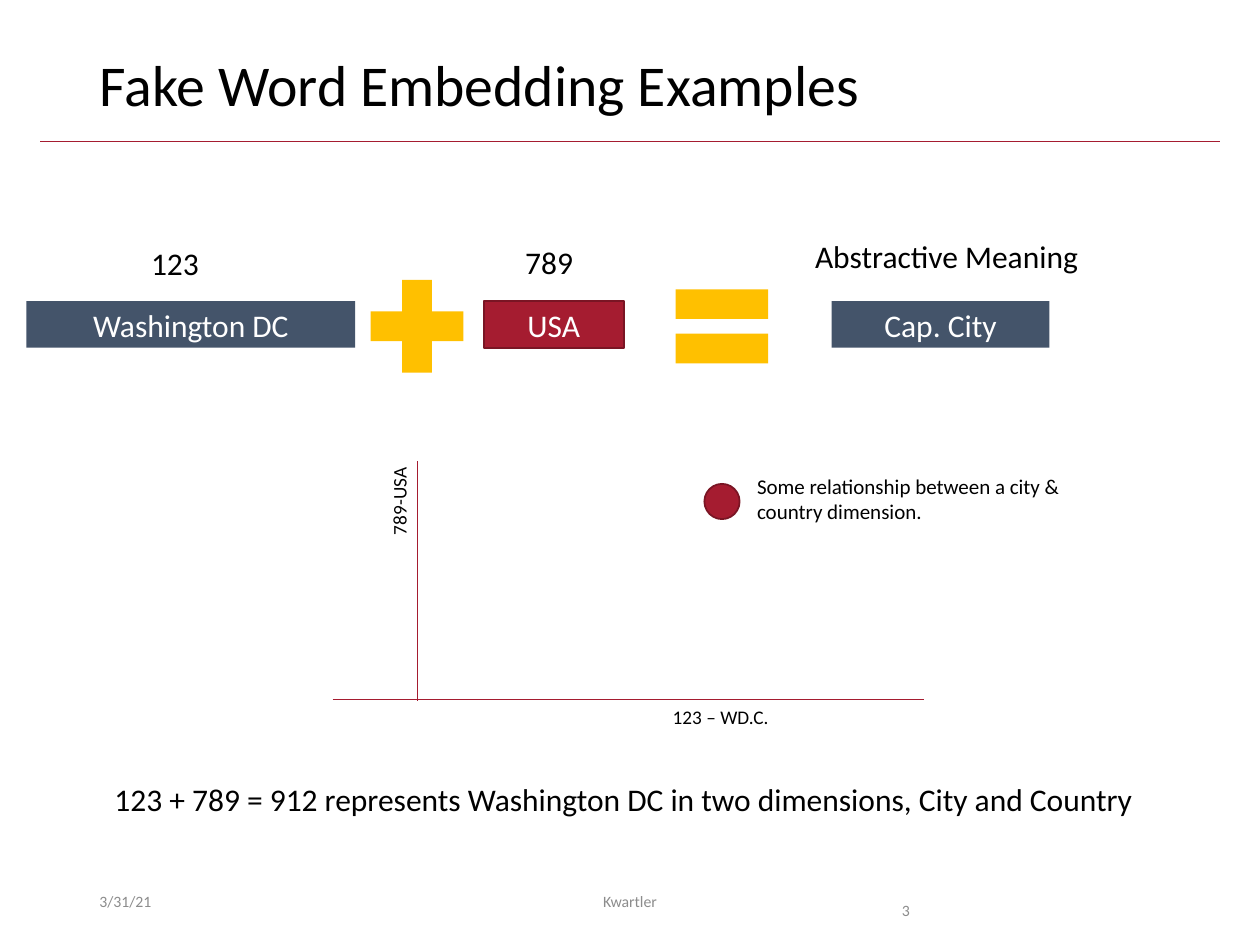
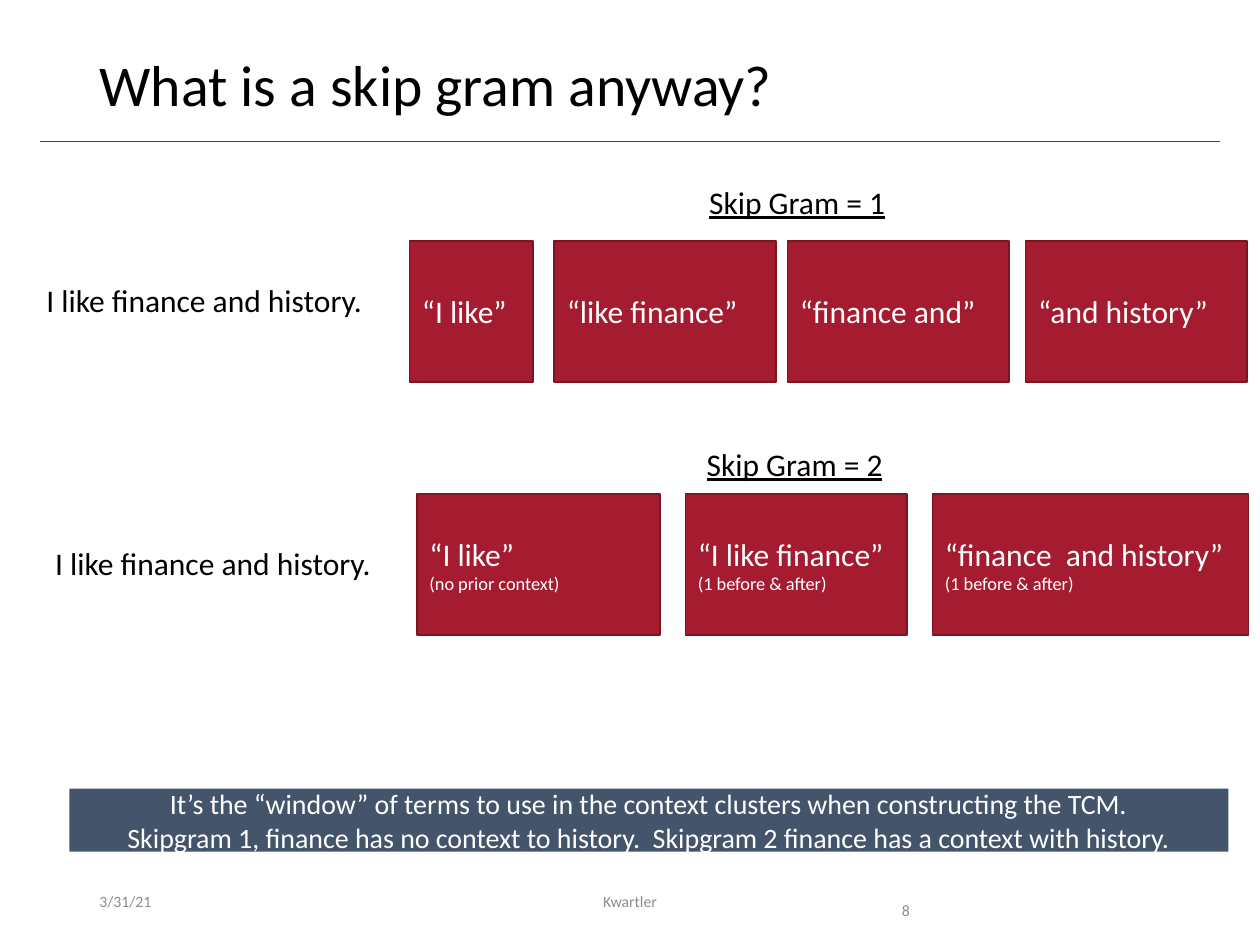
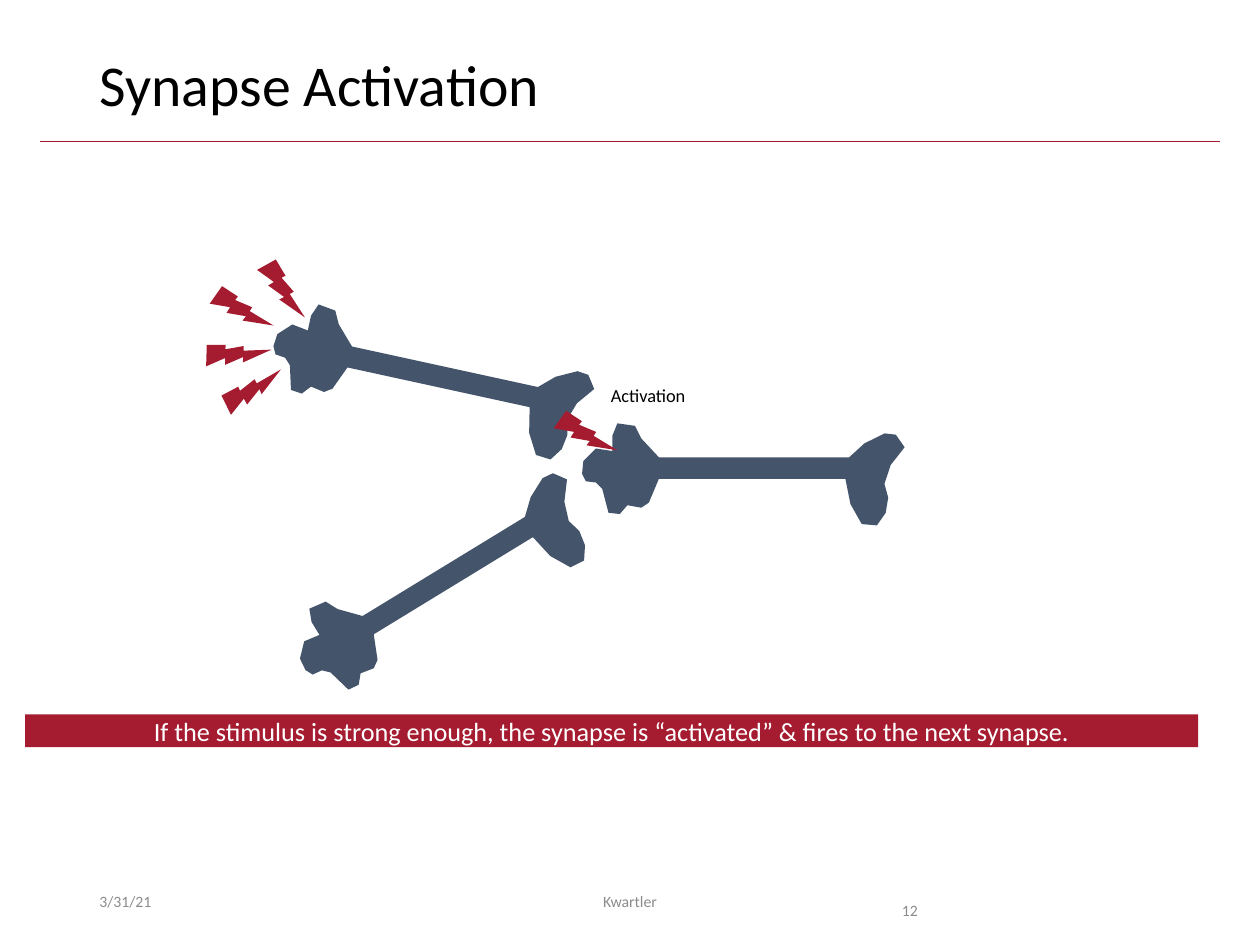
from pptx import Presentation
from pptx.dml.color import RGBColor
from pptx.enum.shapes import MSO_CONNECTOR, MSO_SHAPE
from pptx.enum.text import MSO_ANCHOR, MSO_AUTO_SIZE, PP_ALIGN
from pptx.oxml.ns import qn
from pptx.util import Inches, Pt
from lxml import etree

RECTANGLE, OVAL, BOLT = MSO_SHAPE.RECTANGLE, MSO_SHAPE.OVAL, MSO_SHAPE.LIGHTNING_BOLT
PLUS, EQUAL = MSO_SHAPE.MATH_PLUS, MSO_SHAPE.MATH_EQUAL
LEFT, CENTER = PP_ALIGN.LEFT, PP_ALIGN.CENTER
TOP, MIDDLE = MSO_ANCHOR.TOP, MSO_ANCHOR.MIDDLE

FONT = "Calibri"
RED, DARK_RED, SLATE, GOLD = "A51C30", "7A1524", "44546A", "FFC000"
BLACK, WHITE, GRAY = "000000", "FFFFFF", "8C8C8C"

# Shared content
TITLE_BOX = (0.69, 0.4, 8.62, 0.65)
FOOTER_TOP, FOOTER_HEIGHT = 6.95, 0.4
LABEL_HEIGHT = 0.4

# Word embedding content: text, left, width, fill, outline
EQUATION_TOP, EQUATION_HEIGHT = 2.39, 0.37
TERMS = [
    ("Washington DC", 0.21, 2.61, SLATE, None),
    ("USA", 3.84, 1.11, RED, DARK_RED),
    ("Cap. City", 6.6, 1.73, SLATE, None),
]
OPERATORS = [(PLUS, 2.81), (EQUAL, 5.23)]
EMBEDDING_LABELS = [
    ("123", 1.1, 1.89, 0.59),
    ("789", 4.07, 1.88, 0.59),
    ("Abstractive Meaning", 6.37, 1.83, 2.31),
    ("123 + 789 = 912 represents Washington DC in two dimensions, City and Country",
     0.81, 6.14, 8.38),
]
AXES = [(3.31, 3.66, 3.31, 5.56), (2.64, 5.55, 7.33, 5.55)]
AXIS_LABELS = [("123 – WD.C.", (5.24, 5.55, 0.98, 0.29), 0),
               ("789-USA", (2.8, 3.83, 0.74, 0.29), 270)]

# Skip gram content: heading and sentence places, then cards as text, left, width
SENTENCE = "I like finance and history."
CARD_HEIGHT = 1.12
SKIP_GRAMS = [
    {"heading": ("Skip Gram = 1", 5.53, 1.4), "sentence": (0.27, 2.18), "card_top": 1.91,
     "cards": [("“I like”", 3.25, 0.98),
               ("“like finance”", 4.4, 1.76),
               ("“finance and”", 6.25, 1.76),
               ("“and history”", 8.14, 1.76)]},
    {"heading": ("Skip Gram = 2", 5.51, 3.48), "sentence": (0.34, 4.27), "card_top": 3.92,
     "cards": [("“I like”\n(no prior context)", 3.31, 1.93),
               ("“I like finance”\n(1 before & after)", 5.44, 1.76),
               ("“finance  and history”\n(1 before & after)", 7.4, 2.51)]},
]
WINDOW_NOTE = (
    "It’s the “window” of terms to use in the context clusters when constructing the TCM.\n"
    "Skipgram 1, finance has no context to history.  "
    "Skipgram 2 finance has a context with history."
)

# Synapse content: left, top, rotation
NEURONS = [(2.14, 2.62, 12.3), (2.24, 4.25, 328.6), (4.62, 3.36, 0)]
BOLTS = [(1.71, 2.23, 334.1), (2.04, 2.06, 0), (1.67, 2.59, 300.9),
         (1.8, 2.88, 272.9), (4.44, 3.22, 334.2)]
STIMULUS_NOTE = ("If the stimulus is strong enough, the synapse is “activated” "
                 "& fires to the next synapse.")

# Neuron outline in hundredths of an inch, clockwise from the upper left branch
NEURON_OUTLINE = [
    (28, 0), (42, 2), (47, 12), (61, 27),
    (212, 27), (224, 16), (240, 8), (249, 9), (256, 19), (245, 33),
    (240, 48), (243, 59), (241, 71), (234, 81), (222, 80), (213, 64), (209, 44),
    (61, 44), (53, 63), (47, 67), (36, 65), (30, 72), (21, 71),
    (16, 52), (11, 47), (3, 46), (0, 40), (1, 30), (11, 20), (24, 22), (24, 10),
]


def color(hex_text):
    return RGBColor.from_string(hex_text)


def write(shape, text, sizes=(18,), font_color=BLACK, align=LEFT, anchor=TOP,
          wrap=True, grow=False, underline=None, line_spacing=None):
    """Fill a shape with text; the last size also serves any further lines."""
    frame = shape.text_frame
    frame.text = text
    frame.word_wrap = wrap
    frame.vertical_anchor = anchor
    frame.auto_size = MSO_AUTO_SIZE.SHAPE_TO_FIT_TEXT if grow else MSO_AUTO_SIZE.NONE
    for index, paragraph in enumerate(frame.paragraphs):
        paragraph.alignment = align
        paragraph.line_spacing = line_spacing
        font = paragraph.runs[0].font
        font.name = FONT
        font.size = Pt(sizes[min(index, len(sizes) - 1)])
        font.color.rgb = color(font_color)
        font.underline = underline


def add_text(slide, text, box, rotation=0, **text_format):
    shape = slide.shapes.add_textbox(*map(Inches, box))
    shape.rotation = rotation
    write(shape, text, **text_format)


def add_label(slide, text, left, top, width, **text_format):
    add_text(slide, text, (left, top, width, LABEL_HEIGHT),
             wrap=False, grow=True, **text_format)


def paint(shape, fill, outline=None):
    shape.shadow.inherit = False
    shape.fill.solid()
    shape.fill.fore_color.rgb = color(fill)
    if outline:
        shape.line.color.rgb = color(outline)
        shape.line.width = Pt(1)
    else:
        shape.line.fill.background()


def add_figure(slide, kind, box, fill, outline=None, rotation=0, text=None, **text_format):
    shape = slide.shapes.add_shape(kind, *map(Inches, box))
    shape.rotation = rotation
    paint(shape, fill, outline)
    if text:
        write(shape, text, font_color=WHITE, anchor=MIDDLE, **text_format)
    return shape


def add_line(slide, ends):
    line = slide.shapes.add_connector(MSO_CONNECTOR.STRAIGHT, *map(Inches, ends))
    line.line.color.rgb = color(RED)
    line.line.width = Pt(0.5)
    etree.SubElement(line.element.spPr, qn("a:effectLst"))
    return line


def add_neuron(slide, left, top, rotation):
    builder = slide.shapes.build_freeform(*NEURON_OUTLINE[0], scale=Inches(0.01))
    builder.add_line_segments(NEURON_OUTLINE[1:], close=True)
    neuron = builder.convert_to_shape(Inches(left), Inches(top))
    neuron.rotation = rotation
    paint(neuron, SLATE)


def add_slide(presentation, title, page_number):
    slide = presentation.slides.add_slide(presentation.slide_layouts[5])
    heading = slide.shapes.title
    heading.left, heading.top, heading.width, heading.height = map(Inches, TITLE_BOX)
    write(heading, title, sizes=(33,), line_spacing=0.9)
    footers = [
        ("3/31/21", 0.69, 2.25, {"anchor": MIDDLE}),
        (page_number, 7.06, 0.94, {"line_spacing": 2.0}),
        ("Kwartler", 3.31, 3.38, {"anchor": MIDDLE, "align": CENTER}),
    ]
    for text, left, width, text_format in footers:
        add_text(slide, text, (left, FOOTER_TOP, width, FOOTER_HEIGHT),
                 sizes=(9,), font_color=GRAY, **text_format)
    return slide


def build_embedding(slide):
    # Equation
    for text, left, width, fill, outline in TERMS:
        add_figure(slide, RECTANGLE, (left, EQUATION_TOP, width, EQUATION_HEIGHT),
                   fill, outline, text=text, align=CENTER)
    for kind, left in OPERATORS:
        add_figure(slide, kind, (left, 2.09, 1, 1), GOLD)
    for label in EMBEDDING_LABELS:
        add_label(slide, *label)
    # Two-dimensional plot
    for ends in AXES:
        add_line(slide, ends)
    add_figure(slide, OVAL, (5.59, 3.84, 0.28, 0.28), RED, DARK_RED)
    for text, box, rotation in AXIS_LABELS:
        add_text(slide, text, box, rotation, sizes=(11,), wrap=False, grow=True)
    add_text(slide, "Some relationship between a city & country dimension.",
             (5.91, 3.71, 2.85, 0.5), sizes=(12,), grow=True)


def build_skip_grams(slide):
    for group in SKIP_GRAMS:
        add_label(slide, *group["heading"], 1.61, underline=True)
        add_label(slide, SENTENCE, *group["sentence"], 2.74)
        for text, left, width in group["cards"]:
            add_figure(slide, RECTANGLE, (left, group["card_top"], width, CARD_HEIGHT),
                       RED, DARK_RED, text=text, sizes=(18, 10.5))
    add_figure(slide, RECTANGLE, (0.55, 6.26, 9.2, 0.5), SLATE,
               text=WINDOW_NOTE, sizes=(16,), align=CENTER)


def build_synapse(slide):
    add_text(slide, "Activation", (4.75, 3, 0.81, 0.28), sizes=(10.5,),
             wrap=False, grow=True)
    for neuron in NEURONS:
        add_neuron(slide, *neuron)
    for left, top, rotation in BOLTS:
        add_figure(slide, BOLT, (left, top, 0.38, 0.46), RED, rotation=rotation)
    band = add_figure(slide, RECTANGLE, (0.2, 5.67, 9.31, 0.26), RED,
                      text=STIMULUS_NOTE, sizes=(15,), align=CENTER)
    frame = band.text_frame
    frame.margin_left = frame.margin_right = Inches(0.07)
    frame.margin_top = frame.margin_bottom = Inches(0.04)


SLIDES = [
    ("Fake Word Embedding Examples", "3", build_embedding),
    ("What is a skip gram anyway?", "8", build_skip_grams),
    ("Synapse Activation", "12", build_synapse),
]


def main():
    presentation = Presentation()
    presentation.slide_width, presentation.slide_height = Inches(10), Inches(7.5)
    for title, page_number, build in SLIDES:
        build(add_slide(presentation, title, page_number))
    # The rule under the title belongs to the layout
    rule = add_line(presentation.slides[0], (0.32, 1.12, 9.68, 1.12))
    presentation.slide_layouts[5].shapes.element.append(rule.element)
    presentation.save("out.pptx")


if __name__ == "__main__":
    main()
